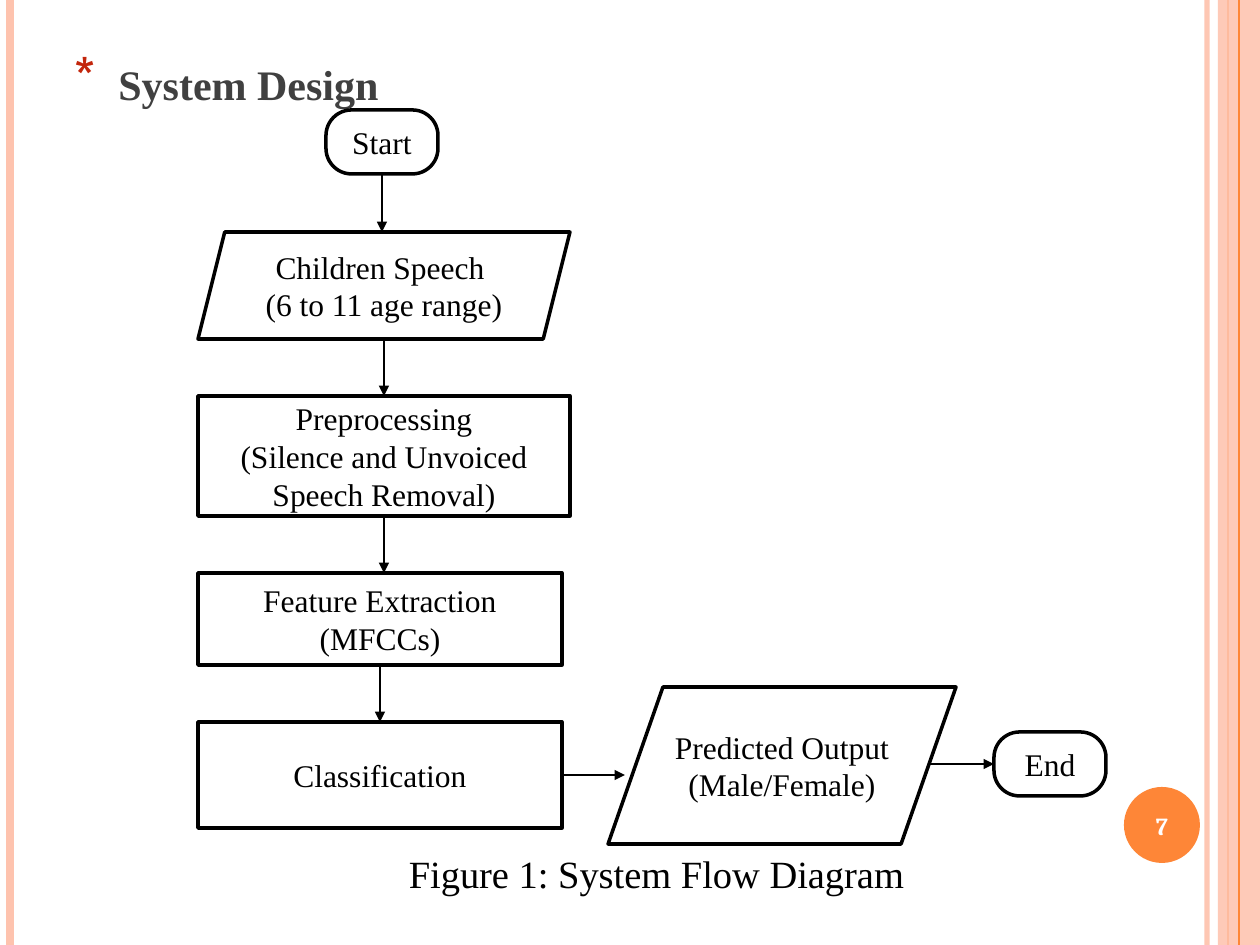
import pptx
import pptx.dml.color
import pptx.enum.shapes
import pptx.enum.text
import pptx.oxml.ns
import pptx.util
from lxml import etree

EMU_PER_PX = 914400 / 126
SERIF = "Times New Roman"
BLACK, WHITE, ORANGE, PEACH = "000000", "FFFFFF", "FE8637", "FEC3AE"
SHAPES = pptx.enum.shapes.MSO_SHAPE
CENTER = pptx.enum.text.PP_ALIGN.CENTER
MIDDLE = pptx.enum.text.MSO_ANCHOR.MIDDLE
TOP, LEFT, BOTTOM, RIGHT = range(4)


def px(value):
    return pptx.util.Emu(round(value * EMU_PER_PX))


def color(value):
    return pptx.dml.color.RGBColor.from_string(value)


def add_xml(parent, tag, **attributes):
    return etree.SubElement(parent, pptx.oxml.ns.qn(tag), attributes)


def set_alpha(fill_owner, percent):
    """Make the solid fill inside a shape's or line's XML see-through."""
    rgb = fill_owner.find(".//" + pptx.oxml.ns.qn("a:srgbClr"))
    add_xml(rgb, "a:alpha", val=str(percent * 1000))


def write(frame, text, size, text_color, font=SERIF, bold=False, align=CENTER):
    frame.text = text
    for para in frame.paragraphs:
        para.alignment = align
        for span in para.runs:
            span.font.name = font
            span.font.size = pptx.util.Pt(size)
            span.font.bold = bold
            span.font.color.rgb = color(text_color)


def add_text(page, bounds, text, size, text_color, wrap=True, **style):
    box = page.shapes.add_textbox(*map(px, bounds))
    box.text_frame.word_wrap = wrap
    write(box.text_frame, text, size, text_color, **style)
    return box


def add_plain_shape(page, kind, bounds, fill):
    shape = page.shapes.add_shape(kind, *map(px, bounds))
    shape.shadow.inherit = False
    shape.fill.solid()
    shape.fill.fore_color.rgb = color(fill)
    shape.line.fill.background()
    return shape


def add_step(page, kind, bounds, text, adjustment=None):
    step = add_plain_shape(page, kind, bounds, WHITE)
    step.line.color.rgb = color(BLACK)
    step.line.width = pptx.util.Pt(2)
    if adjustment is not None:
        step.adjustments[0] = adjustment
    step.text_frame.word_wrap = True
    step.text_frame.vertical_anchor = MIDDLE
    write(step.text_frame, text, 18, BLACK)
    return step


def add_line(page, start, end, line_color, width):
    line = page.shapes.add_connector(
        pptx.enum.shapes.MSO_CONNECTOR.STRAIGHT, *map(px, start + end))
    line.line.color.rgb = color(line_color)
    line.line.width = pptx.util.Pt(width)
    add_xml(line._element.spPr, "a:effectLst")
    return line


def add_arrow(page, start, end, source=None, target=None):
    """Draw an arrow; source and target are optional (shape, side) joints."""
    arrow = add_line(page, start, end, BLACK, 1)
    add_xml(arrow.line._get_or_add_ln(), "a:tailEnd", type="triangle")
    if source:
        arrow.begin_connect(*source)
    if target:
        arrow.end_connect(*target)


def add_frame(page):
    """Stripes along both edges and the disc behind the page number."""
    def stripe(x, line_color, width):
        return add_line(page, (x, 0), (x, 945), line_color, width)

    set_alpha(stripe(1207, PEACH, 3)._element.spPr, 93)
    stripe(10, PEACH, 4.5)
    stripe(1228, ORANGE, 1.5)
    band = add_plain_shape(page, SHAPES.RECTANGLE, (1218, 0, 42, 945), PEACH)
    set_alpha(band._element.spPr, 87)
    stripe(1239, ORANGE, 0.75)
    add_plain_shape(page, SHAPES.OVAL, (1124, 787, 76, 76), ORANGE)


def add_title(page):
    title = add_text(page, (62, 52, 897, 157), "System Design", 24, "404040",
                     bold=True, align=pptx.enum.text.PP_ALIGN.LEFT)
    properties = title.text_frame.paragraphs[0]._p.get_or_add_pPr()
    properties.set("marL", str(px(44)))
    properties.set("indent", str(px(-44)))
    add_xml(add_xml(properties, "a:buClr"), "a:srgbClr", val="C3260C")
    add_xml(properties, "a:buSzPct", val="128000")
    add_xml(properties, "a:buChar", char="*")


def add_flow(page):
    # Steps
    start = add_step(page, SHAPES.ROUNDED_RECTANGLE, (326, 110, 112, 64),
                     "Start", 0.4)
    add_step(page, SHAPES.PARALLELOGRAM, (198, 232, 372, 107),
             "Children Speech \n(6 to 11 age range)", 0.25)
    preprocessing = add_step(page, SHAPES.RECTANGLE, (198, 396, 372, 120),
                             "Preprocessing\n(Silence and Unvoiced Speech Removal)")
    features = add_step(page, SHAPES.RECTANGLE, (198, 573, 364, 92),
                        "Feature Extraction\n(MFCCs)")
    classification = add_step(page, SHAPES.RECTANGLE, (198, 722, 364, 106),
                              "Classification")
    add_step(page, SHAPES.PARALLELOGRAM, (608, 687, 348, 157),
             "Predicted Output\n(Male/Female)", 0.35)
    end = add_step(page, SHAPES.ROUNDED_RECTANGLE, (994, 732, 112, 64),
                   "End", 0.4)

    # Arrows
    add_arrow(page, (382, 174), (382, 232), source=(start, BOTTOM))
    add_arrow(page, (384, 339), (384, 396), target=(preprocessing, TOP))
    add_arrow(page, (384, 516), (384, 573), source=(preprocessing, BOTTOM))
    add_arrow(page, (380, 665), (380, 722), source=(features, BOTTOM),
              target=(classification, TOP))
    add_arrow(page, (562, 775), (625, 775), source=(classification, RIGHT))
    add_arrow(page, (930, 764), (994, 764), target=(end, LEFT))


def main():
    deck = pptx.Presentation()
    deck.slide_width, deck.slide_height = px(1260), px(945)
    page = deck.slides.add_slide(deck.slide_layouts[6])
    add_frame(page)
    add_title(page)
    add_flow(page)

    # Page number and caption
    number = add_text(page, (1120, 790, 84, 72), "7", 14, WHITE,
                      font="Cambria", bold=True)
    number.text_frame.vertical_anchor = MIDDLE
    add_text(page, (393, 844, 527, 59), "Figure 1: System Flow Diagram",
             22, BLACK, wrap=False)
    deck.save("out.pptx")


if __name__ == "__main__":
    main()
